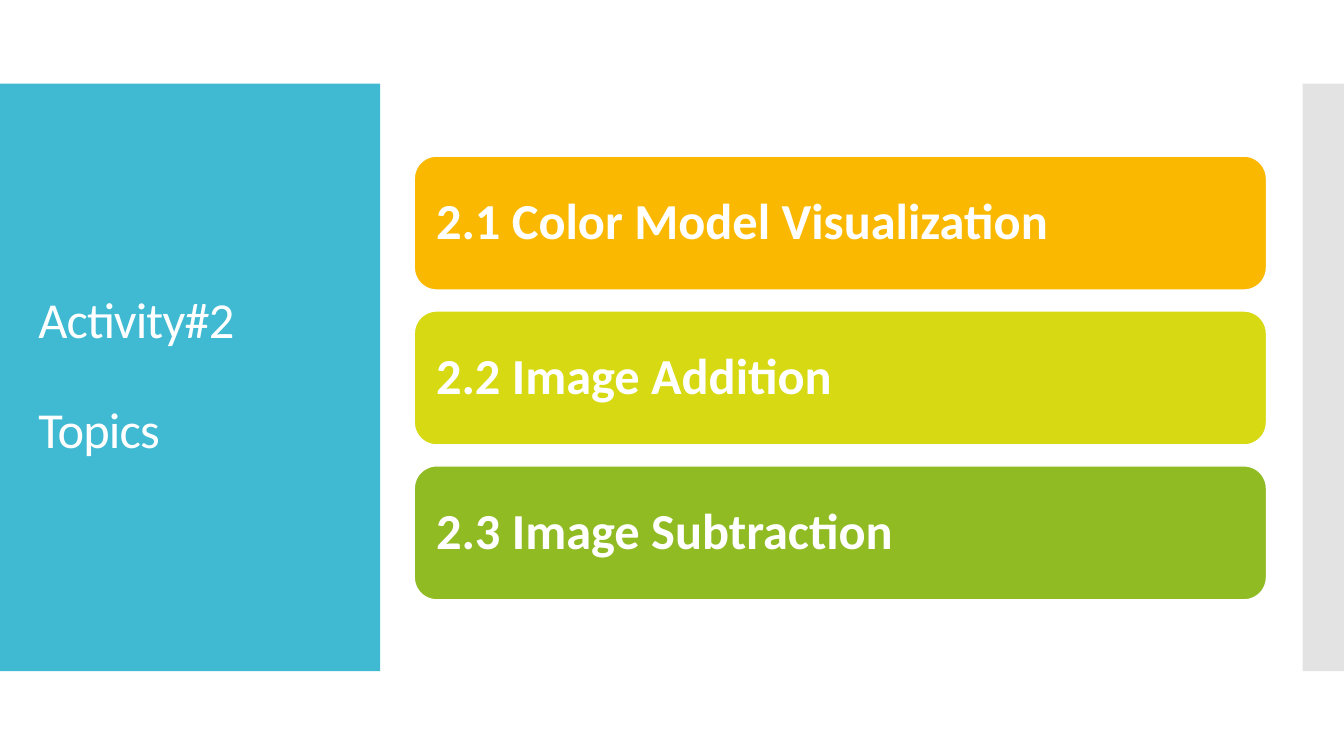
from dataclasses import dataclass

from lxml import etree
from pptx import Presentation
from pptx.dml.color import RGBColor
from pptx.enum.shapes import MSO_SHAPE
from pptx.enum.text import MSO_ANCHOR, MSO_AUTO_SIZE, PP_ALIGN
from pptx.oxml.ns import qn
from pptx.util import Inches, Pt

RECTANGLE = MSO_SHAPE.RECTANGLE
ROUNDED = MSO_SHAPE.ROUNDED_RECTANGLE
MIDDLE = MSO_ANCHOR.MIDDLE
NO_AUTOFIT = MSO_AUTO_SIZE.NONE
LEFT = PP_ALIGN.LEFT
TITLE_ONLY = 5


@dataclass(frozen=True)
class Theme:
    """Colours, font and type sizes of the slide."""
    panel: str = "40BAD2"
    edge: str = "C8C8C8"
    white: str = "FFFFFF"
    bars: tuple = ("FAB900", "D7D913", "90BB23")
    font: str = "Calibri"
    size: float = 36
    title_gap: float = 39.5
    outline: float = 0.85


THEME = Theme()
TITLE_LINES = ("Activity#2", "Topics")
TOPICS = (
    "2.1 Color Model Visualization",
    "2.2 Image Addition",
    "2.3 Image Subtraction",
)


def set_attributes(target, values):
    """Set every attribute in values on the target."""
    for name, value in values.items():
        setattr(target, name, value)


def add_block(slide, kind, box, color):
    """Add a filled shape without line or shadow in a box given in inches."""
    shape = slide.shapes.add_shape(kind, *(Inches(length) for length in box))
    shape.shadow.inherit = False
    shape.fill.solid()
    shape.fill.fore_color.rgb = RGBColor.from_string(color)
    shape.line.fill.background()
    return shape


def format_frame(frame, margin):
    """Anchor the text in the middle with an inset on the left and right."""
    set_attributes(frame, {
        "word_wrap": True,
        "auto_size": NO_AUTOFIT,
        "vertical_anchor": MIDDLE,
        "margin_left": Inches(margin),
        "margin_right": Inches(margin),
    })


def write_line(paragraph, text, bold=False):
    """Write one line of white text and return its run."""
    set_attributes(paragraph, {"alignment": LEFT, "line_spacing": 0.9})
    run = paragraph.add_run()
    run.text = text
    set_attributes(run.font, {"name": THEME.font, "size": Pt(THEME.size), "bold": bold})
    run.font.color.rgb = RGBColor.from_string(THEME.white)
    return run


def add_title_panel(slide, box):
    """Fill the box with the title panel and place the title on it."""
    left, top, width, height = box
    panel = add_block(slide, RECTANGLE, box, THEME.panel)
    title = slide.shapes.title
    title.element.addprevious(panel.element)
    set_attributes(title, {
        "left": Inches(left + 0.28),
        "top": Inches(top + 0.4),
        "width": Inches(width - 0.55),
        "height": Inches(height - 0.8),
    })
    frame = title.text_frame
    format_frame(frame, 0.1)
    for index, text in enumerate(TITLE_LINES):
        paragraph = frame.add_paragraph() if index else frame.paragraphs[0]
        paragraph.space_before = Pt(THEME.title_gap if index else 0)
        run = write_line(paragraph, text)
        run.font.element.set("spc", "-60") if hasattr(run.font, "element") else run._r.get_or_add_rPr().set("spc", "-60")


def add_edge_strip(slide, box):
    """Fill the box with the half-transparent strip at the slide edge."""
    strip = add_block(slide, RECTANGLE, box, THEME.edge)
    color = strip.element.spPr.find(qn("a:solidFill")).find(qn("a:srgbClr"))
    etree.SubElement(color, qn("a:alpha")).set("val", "50000")


def add_topic_bars(slide, box, gap=0.21):
    """Stack one rounded bar per topic in the box."""
    left, top, width, height = box
    bar_height = (height - gap * (len(TOPICS) - 1)) / len(TOPICS)
    for index, (topic, color) in enumerate(zip(TOPICS, THEME.bars)):
        bar_top = top + index * (bar_height + gap)
        bar = add_block(slide, ROUNDED, (left, bar_top, width, bar_height), color)
        bar.line.color.rgb = RGBColor.from_string(THEME.white)
        bar.line.width = Pt(THEME.outline)
        format_frame(bar.text_frame, 0.15)
        write_line(bar.text_frame.paragraphs[0], topic, bold=True)


def main():
    """Build the topics slide and save it."""
    presentation = Presentation()
    set_attributes(presentation, {
        "slide_width": Inches(13.33),
        "slide_height": Inches(7.5),
    })
    slide = presentation.slides.add_slide(presentation.slide_layouts[TITLE_ONLY])
    add_title_panel(slide, (0, 0.83, 3.77, 5.83))
    add_edge_strip(slide, (12.92, 0.83, 0.41, 5.83))
    add_topic_bars(slide, (4.11, 1.55, 8.45, 4.4))
    presentation.save("out.pptx")


if __name__ == "__main__":
    main()
